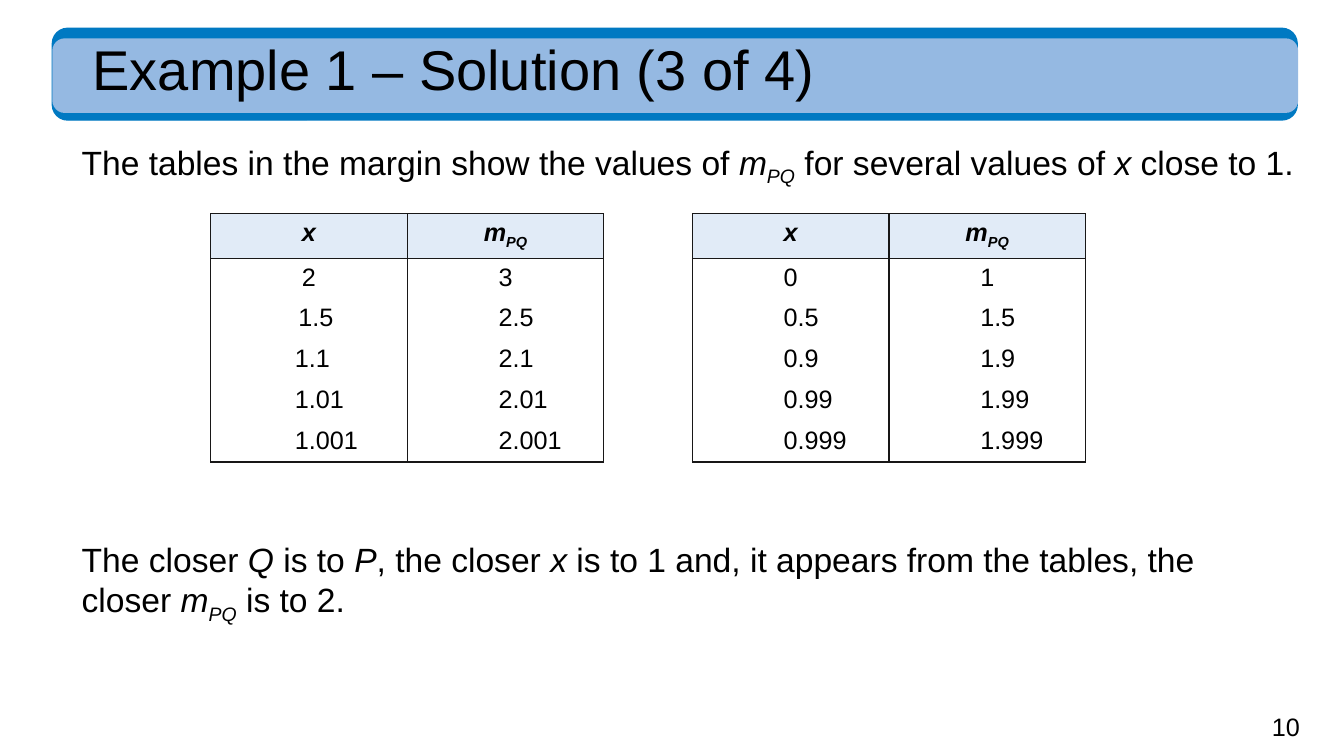
"""Builds the slide with two value tables for the secant slopes of Example 1."""
import pptx
import pptx.dml.color
import pptx.enum.shapes
import pptx.enum.text
import pptx.oxml
import pptx.oxml.ns
import pptx.util

Pt = pptx.util.Pt
ALIGN = pptx.enum.text.PP_ALIGN
FONT = "Arial"
COLORS = {
    "band": "0079C2",
    "title": "95B9E2",
    "header": "E1EBF7",
    "cell": "FFFFFF",
    "border": "181717",
    "text": "000000",
}
SLOPE = [("m", "i"), ("PQ", "is")]
COLUMN_WIDTH = 140.4
ROW_HEIGHT = 29.16
DIGIT_INDENT = 65.2


def rgb(name):
    """Return the named colour."""
    return pptx.dml.color.RGBColor.from_string(COLORS[name])


def write_runs(paragraph, parts, size, bold=False):
    """Write (text, style) parts, where i is italic and s is subscript."""
    for text, style in parts:
        run = paragraph.add_run()
        run.text = text
        run.font.name = FONT
        run.font.size = Pt(size)
        run.font.bold = bold
        run.font.italic = "i" in style
        run.font.color.rgb = rgb("text")
        if "s" in style:
            run.font._element.set("baseline", "-25000")


def add_band(slide, left, top, width, height, color, outlined):
    """Add one rounded band of the title bar."""
    kind = pptx.enum.shapes.MSO_SHAPE.ROUNDED_RECTANGLE
    shape = slide.shapes.add_shape(kind, Pt(left), Pt(top), Pt(width), Pt(height))
    shape.shadow.inherit = False
    shape.fill.solid()
    shape.fill.fore_color.rgb = rgb(color)
    if outlined:
        shape.line.color.rgb = rgb(color)
        shape.line.width = Pt(1)
    else:
        shape.line.fill.background()


def add_text(slide, left, top, width, height, parts, size, line_spacing=0.9):
    """Add a wrapped text box without insets."""
    box = slide.shapes.add_textbox(Pt(left), Pt(top), Pt(width), Pt(height))
    frame = box.text_frame
    frame.word_wrap = True
    frame.margin_left = frame.margin_right = frame.margin_top = frame.margin_bottom = 0
    paragraph = frame.paragraphs[0]
    paragraph.line_spacing = line_spacing
    write_runs(paragraph, parts, size)


def set_borders(cell, visible_sides):
    """Draw the visible sides of a cell and clear the others."""
    properties = cell._tc.get_or_add_tcPr()
    namespace = pptx.oxml.ns.nsdecls("a")
    for position, side in enumerate("LRTB"):
        if side in visible_sides:
            fill = f'<a:solidFill><a:srgbClr val="{COLORS["border"]}"/></a:solidFill>'
        else:
            fill = "<a:noFill/>"
        line = pptx.oxml.parse_xml(f'<a:ln{side} {namespace} w="12700">{fill}</a:ln{side}>')
        properties.insert(position, line)


def style_cell(cell, color, sides):
    """Fill and border a cell."""
    cell.fill.solid()
    cell.fill.fore_color.rgb = rgb(color)
    set_borders(cell, sides)


def add_value_table(slide, left, top, rows, first_indents):
    """Add a table of x and slope values whose first digits line up."""
    count = len(rows) + 1
    frame = slide.shapes.add_table(
        count, 2, Pt(left), Pt(top), Pt(2 * COLUMN_WIDTH), Pt(count * ROW_HEIGHT)
    )
    table = frame.table
    table.horz_banding = False
    for column in table.columns:
        column.width = Pt(COLUMN_WIDTH)
    for row in table.rows:
        row.height = Pt(ROW_HEIGHT)
    for index, parts in enumerate(([("x", "i")], SLOPE)):
        cell = table.cell(0, index)
        style_cell(cell, "header", "LRTB")
        paragraph = cell.text_frame.paragraphs[0]
        paragraph.alignment = ALIGN.CENTER
        write_runs(paragraph, parts, 18, bold=True)
    for number, (values, first_indent) in enumerate(zip(rows, first_indents), 1):
        sides = "LR" + ("T" if number == 1 else "") + ("B" if number == count - 1 else "")
        for index, indent in enumerate((first_indent, DIGIT_INDENT)):
            cell = table.cell(number, index)
            style_cell(cell, "cell", sides)
            cell.margin_left = Pt(indent)
            cell.margin_right = 0
            paragraph = cell.text_frame.paragraphs[0]
            paragraph.alignment = ALIGN.LEFT
            write_runs(paragraph, [(values[index], "")], 18)


def main():
    """Build and save the slide."""
    presentation = pptx.Presentation()
    presentation.slide_width, presentation.slide_height = Pt(960), Pt(540)
    slide = presentation.slides.add_slide(presentation.slide_layouts[6])

    add_band(slide, 37.4, 20.2, 889.2, 65.5, "band", True)
    add_band(slide, 37.4, 27.4, 889.9, 53.3, "title", False)
    add_text(slide, 66.2, 30.2, 828, 53.3, [("Example 1 – Solution (3 of 4)", "")], 40)

    introduction = [
        ("The tables in the margin show the values of ", ""), *SLOPE,
        (" for several values of ", ""), ("x", "i"), (" close to 1.", ""),
    ]
    add_text(slide, 58.3, 101.5, 880.6, 37.4, introduction, 24)

    above = [("2", "3"), ("1.5", "2.5"), ("1.1", "2.1"), ("1.01", "2.01"), ("1.001", "2.001")]
    below = [("0", "1"), ("0.5", "1.5"), ("0.9", "1.9"), ("0.99", "1.99"), ("0.999", "1.999")]
    add_value_table(slide, 150.5, 152.6, above, [DIGIT_INDENT, 62.7, 60.2, 60.2, 60.2])
    add_value_table(slide, 494.6, 152.6, below, [DIGIT_INDENT] * len(below))

    conclusion = [
        ("The closer ", ""), ("Q", "i"), (" is to ", ""), ("P", "i"),
        (", the closer ", ""), ("x", "i"),
        (" is to 1 and, it appears from the tables, the closer ", ""), *SLOPE,
        (" is to 2.", ""),
    ]
    add_text(slide, 58.3, 388.1, 843.8, 61.2, conclusion, 24)
    add_text(slide, 908.6, 508, 44, 22, [("10", "")], 18, line_spacing=1.0)

    presentation.save("out.pptx")


if __name__ == "__main__":
    main()
